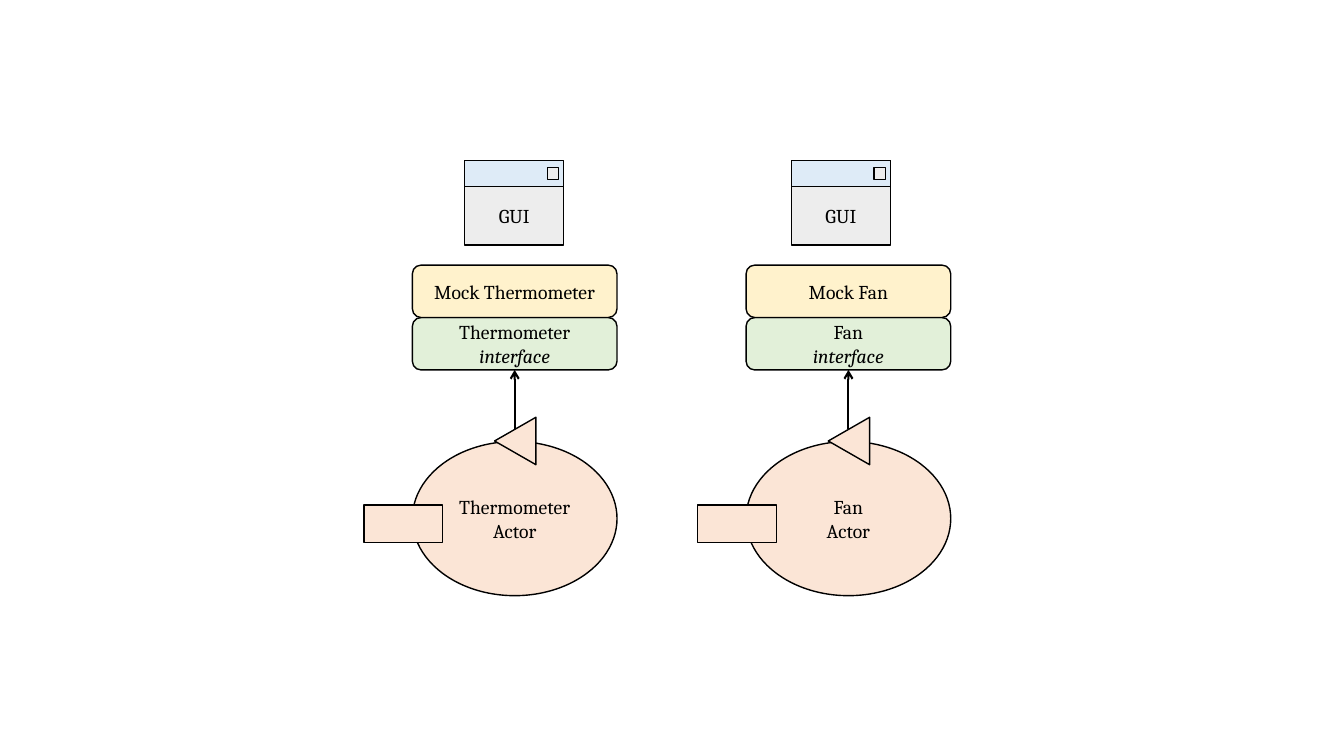
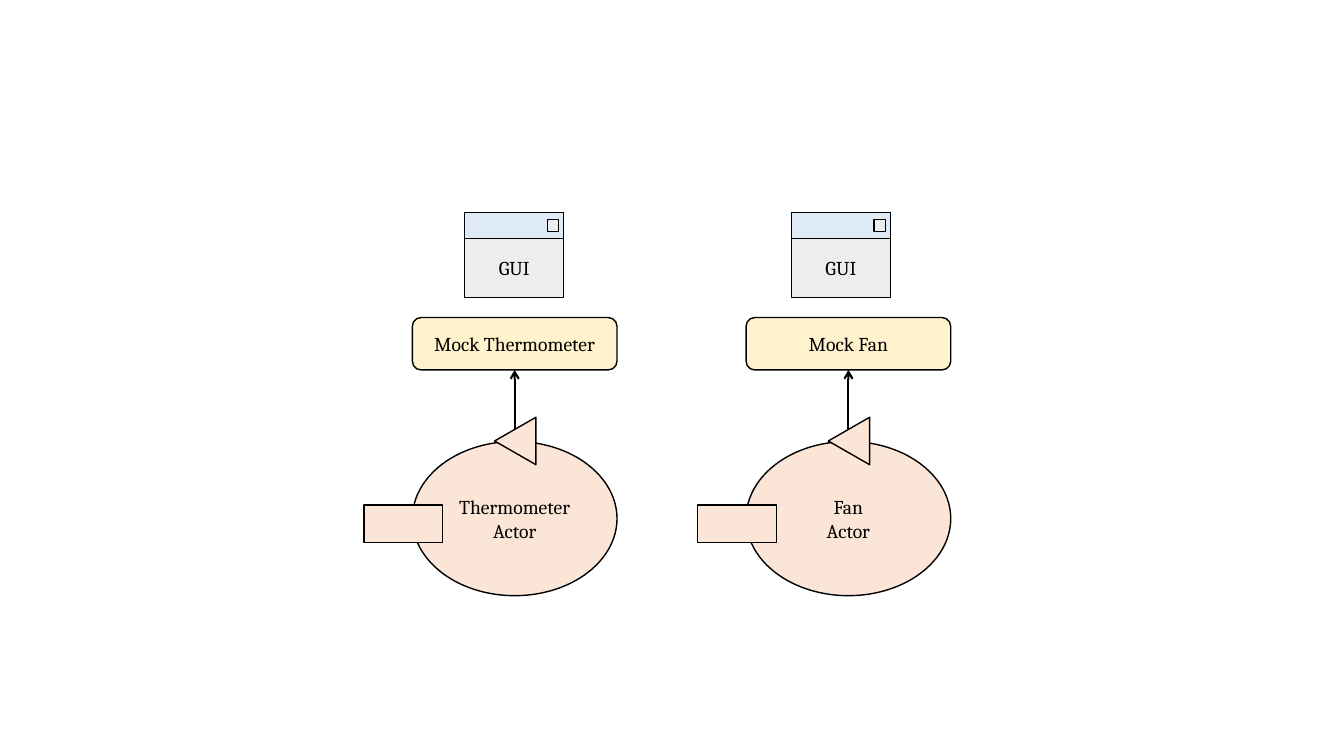
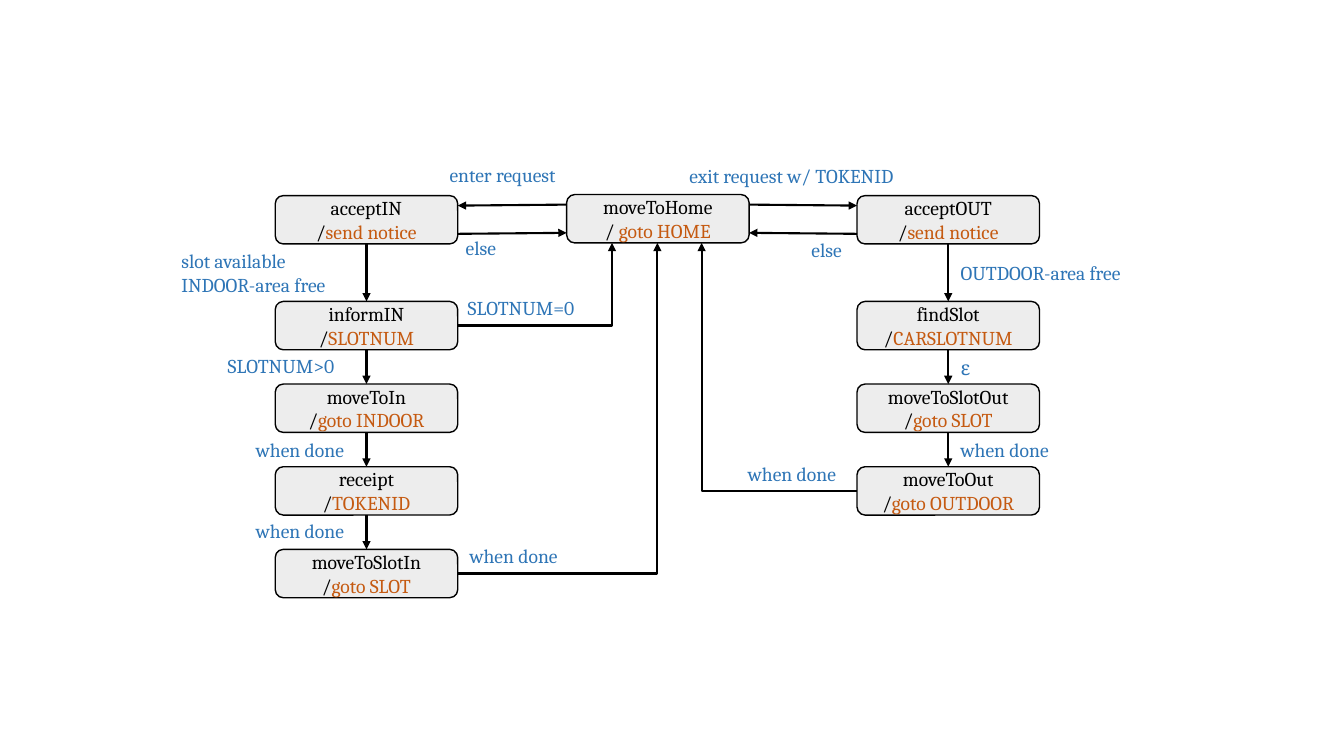
from itertools import pairwise

from lxml.etree import SubElement
from pptx import Presentation
from pptx.dml.color import RGBColor
from pptx.enum.shapes import MSO_CONNECTOR as LINK, MSO_SHAPE as SHAPE
from pptx.enum.text import MSO_ANCHOR as ANCHOR, PP_ALIGN as ALIGN
from pptx.oxml.ns import qn
from pptx.util import Inches, Pt

COLORS = {
    "ink": "000000",
    "actor": "FBE5D6",
    "interface": "E2F0D9",
    "mock": "FFF2CC",
    "gray": "EDEDED",
    "title_bar": "DEEBF7",
    "action": "C55A11",
    "event": "2E75B6",
}
FONT, TEXT_SIZE = "Cambria", 14

# Device columns: left edge, window left edge, device name
DEVICES = [(4.09, 4.61, "Thermometer"), (7.4, 7.85, "Fan")]
COLUMN_W, LAYER_H, INTERFACE_TOP = 2.03, 0.52, 3.15

# State machine grid
STATE_W, STATE_H = 1.81, 0.48
IN_X, HOME_X, OUT_X = 2.73, 5.62, 8.5
HOME_Y = 1.93
ROWS = [1.94] + [2.99 + 0.82 * row for row in range(4)]
IN_STATES = [("acceptIN", "send notice"), ("informIN", "SLOTNUM"),
             ("moveToIn", "goto INDOOR"), ("receipt", "TOKENID"),
             ("moveToSlotIn", "goto SLOT")]
OUT_STATES = [("acceptOUT", "send notice"), ("findSlot", "CARSLOTNUM"),
              ("moveToSlotOut", "goto SLOT"), ("moveToOut", "goto OUTDOOR")]
# Event labels: left, top, width, lines
EVENTS = [
    (4.36, 1.57, 1.42, ["enter request"]),
    (6.74, 1.58, 2.57, ["exit request w/ TOKENID"]),
    (4.52, 2.29, 0.55, ["else"]),
    (7.95, 2.31, 0.55, ["else"]),
    (1.7, 2.42, 1.91, ["slot available", "INDOOR-area free"]),
    (4.54, 2.89, 1.47, ["SLOTNUM=0"]),
    (2.16, 3.46, 1.47, ["SLOTNUM>0"]),
    (2.44, 4.3, 1.17, ["when done"]),
    (2.44, 5.1, 1.17, ["when done"]),
    (4.56, 5.35, 1.17, ["when done"]),
    (9.43, 2.54, 2.12, ["OUTDOOR-area free"]),
    (9.43, 3.48, 0.29, ["ε"]),
    (9.43, 4.3, 1.17, ["when done"]),
    (7.32, 4.53, 1.17, ["when done"]),
]


def rgb(color):
    return RGBColor.from_string(COLORS[color])


def write_lines(frame, lines, color="ink", align=ALIGN.CENTER):
    """Write one paragraph per line and return the paragraphs."""
    paragraphs = []
    for number, line in enumerate(lines):
        paragraph = frame.add_paragraph() if number else frame.paragraphs[0]
        paragraph.add_run().text = line
        paragraph.alignment = align
        paragraph.font.name, paragraph.font.size = FONT, Pt(TEXT_SIZE)
        paragraph.font.color.rgb = rgb(color)
        paragraphs.append(paragraph)
    return paragraphs


def add_block(slide, kind, x, y, w, h, fill, lines=()):
    block = slide.shapes.add_shape(kind, Inches(x), Inches(y), Inches(w), Inches(h))
    block.shadow.inherit = False
    block.fill.solid()
    block.fill.fore_color.rgb = rgb(fill)
    block.line.color.rgb = rgb("ink")
    block.line.width = Pt(1)
    block.text_frame.vertical_anchor = ANCHOR.MIDDLE
    write_lines(block.text_frame, lines)
    return block


def add_arrow(slide, start, end, head="triangle", bent=False):
    ends = [Inches(value) for value in (*start, *end)]
    arrow = slide.shapes.add_connector(LINK.ELBOW if bent else LINK.STRAIGHT, *ends)
    arrow.line.color.rgb = rgb("ink")
    arrow.line.width = Pt(1.5)
    properties = arrow._element.spPr
    if bent:  # a single corner: across, then up
        properties.find(qn("a:prstGeom")).set("prst", "bentConnector2")
    SubElement(properties.find(qn("a:ln")), qn("a:tailEnd"), type=head)
    SubElement(properties, qn("a:effectLst"))
    return arrow


def add_event(slide, x, y, w, lines):
    height = 0.34 + 0.23 * (len(lines) - 1)
    label = slide.shapes.add_textbox(Inches(x), Inches(y), Inches(w), Inches(height))
    label.text_frame.word_wrap = True
    write_lines(label.text_frame, lines, "event", ALIGN.LEFT)


def add_window(slide, x, y):
    body = add_block(slide, SHAPE.RECTANGLE, x, y, 0.98, 0.84, "gray", ["GUI"])
    body.text_frame.margin_top = Inches(0.3)
    add_block(slide, SHAPE.RECTANGLE, x, y, 0.98, 0.26, "title_bar")
    add_block(slide, SHAPE.RECTANGLE, x + 0.82, y + 0.07, 0.11, 0.12, "gray")


def add_actor(slide, x, name):
    center = x + COLUMN_W / 2
    add_block(slide, SHAPE.OVAL, x, 4.38, COLUMN_W, 1.53, "actor", [name, "Actor"])
    port = add_block(slide, SHAPE.ISOSCELES_TRIANGLE, center - 0.23, 4.17, 0.47, 0.41, "actor")
    port.rotation = 270
    add_block(slide, SHAPE.RECTANGLE, x - 0.48, 5.01, 0.78, 0.37, "actor")
    add_arrow(slide, (center, 4.26), (center, INTERFACE_TOP + LAYER_H), "arrow")


def add_layer(slide, x, y, fill, lines):
    return add_block(slide, SHAPE.ROUNDED_RECTANGLE, x, y, COLUMN_W, LAYER_H, fill, lines)


def build_devices(slide, with_interface):
    mock_top = INTERFACE_TOP - (LAYER_H if with_interface else 0)
    for x, window_x, name in DEVICES:
        add_actor(slide, x, name)
        if with_interface:
            layer = add_layer(slide, x, INTERFACE_TOP, "interface", [name, "interface"])
            layer.text_frame.paragraphs[1].font.italic = True
        add_layer(slide, x, mock_top, "mock", [f"Mock {name}"])
        add_window(slide, window_x, mock_top - 1.04)


def add_state(slide, x, y, name, action, slash="/"):
    state = add_block(slide, SHAPE.ROUNDED_RECTANGLE, x, y, STATE_W, STATE_H, "gray", [name, slash])
    action_run = state.text_frame.paragraphs[1].add_run()
    action_run.text = action
    action_run.font.color.rgb = rgb("action")
    return state


def add_state_column(slide, x, states):
    column = [add_state(slide, x, y, *state) for y, state in zip(ROWS, states)]
    for upper, lower in pairwise(column):
        step = add_arrow(slide, (x, 0), (x, 1))
        step.begin_connect(upper, 2)
        step.end_connect(lower, 0)


def build_state_machine(slide):
    # States
    add_state_column(slide, IN_X, IN_STATES)
    add_state_column(slide, OUT_X, OUT_STATES)
    add_state(slide, HOME_X, HOME_Y, "moveToHome", "goto HOME", "/ ")

    # Requests out of home and refusals back to it
    in_right, home_right = IN_X + STATE_W, HOME_X + STATE_W
    for home_edge, accept_edge in ((HOME_X, in_right), (home_right, OUT_X)):
        add_arrow(slide, (home_edge, 2.03), (accept_edge, 2.04))
        add_arrow(slide, (accept_edge, 2.32), (home_edge, 2.31))

    # Returns to home: start edge, row, arrival point
    for edge, row, arrival in ((in_right, 1, 6.07), (in_right, 4, 6.52), (OUT_X, 3, 6.96)):
        add_arrow(slide, (edge, ROWS[row] + STATE_H / 2),
                  (arrival, HOME_Y + STATE_H), bent=True)

    # Events
    for event in EVENTS:
        add_event(slide, *event)


def main():
    deck = Presentation()
    deck.slide_width, deck.slide_height = Inches(13.33), Inches(7.5)
    blank = deck.slide_layouts[6]
    build_devices(deck.slides.add_slide(blank), with_interface=True)
    build_devices(deck.slides.add_slide(blank), with_interface=False)
    build_state_machine(deck.slides.add_slide(blank))
    deck.save("out.pptx")


if __name__ == "__main__":
    main()
